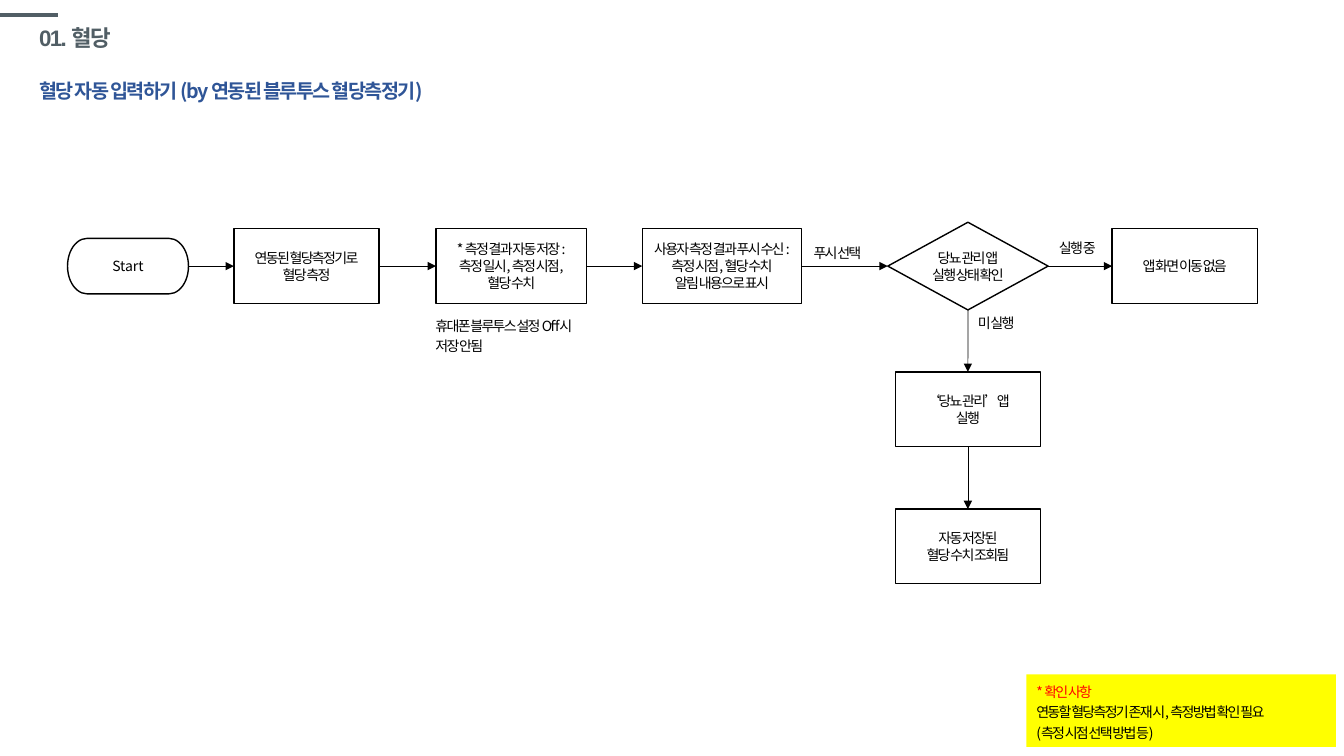
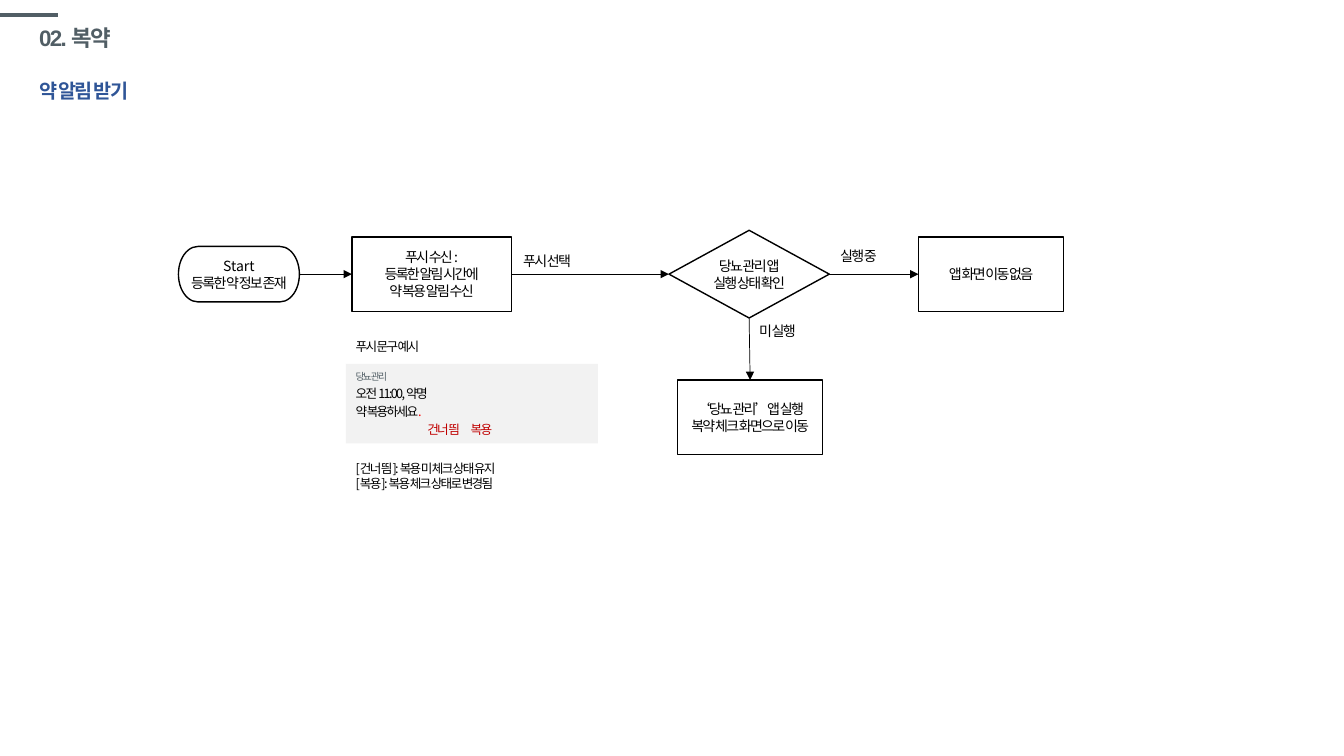
import pptx
import pptx.dml.color
import pptx.enum.shapes
import pptx.enum.text
import pptx.oxml
import pptx.oxml.ns
import pptx.util
from pptx.util import Inches

SHAPE = pptx.enum.shapes.MSO_SHAPE
ANCHOR = pptx.enum.text.MSO_ANCHOR
ALIGN = pptx.enum.text.PP_ALIGN

INK, SLATE, BLUE, RED, DARK_RED = "000000", "515E65", "2F5597", "FF0000", "C00000"
WHITE, YELLOW, GREY = "FFFFFF", "FFFF00", "F2F2F2"
KOREAN_FONT = "Noto Sans CJK KR"

BODY = {"size": 10, "color": INK, "name": KOREAN_FONT, "bold": False, "spacing": -120}
TITLE = BODY | {"size": 16, "color": SLATE, "name": "Arial", "bold": True}
SUBTITLE = BODY | {"size": 14, "color": BLUE, "bold": True}
SMALL = BODY | {"size": 9}

NODE_KINDS = {
    "start": (SHAPE.FLOWCHART_TERMINATOR, 0.55),
    "step": (SHAPE.FLOWCHART_PROCESS, 0.74),
    "choice": (SHAPE.FLOWCHART_DECISION, 0.87),
}
TOP, BOTTOM, LEFT, RIGHT = 0, 2, 1, 3
DIRECTIONS = {"right": (RIGHT, LEFT), "down": (BOTTOM, TOP)}
LABELS = {
    "푸시 선택": (0.02, -0.30, 0.82),
    "실행 중": (0.01, -0.35, 0.63),
    "미 실행": (0, -0.04, 0.73),
}

START = [("Start", {"spacing": 0})]
CHECK_LINES = ["당뇨 관리 앱", "실행 상태 확인"]

PAGES = [
    {
        "title": "01. 혈당",
        "subtitle": "혈당 자동 입력하기 (by 연동된 블루투스 혈당측정기)",
        "nodes": {
            "start": ("start", 1.27, 2.64, 1.2, [START]),
            "measure": ("step", 3.04, 2.64, 1.44, ["연동된 혈당측정기로", "혈당 측정"]),
            "save": ("step", 5.07, 2.64, 1.49,
                     ["* 측정 결과 자동 저장 :", "측정 일시, 측정 시점,", "혈당 수치"]),
            "push": ("step", 7.16, 2.64, 1.58,
                     ["사용자 측정 결과 푸시 수신 :", "측정 시점, 혈당 수치", "알림 내용으로 표시"]),
            "check": ("choice", 9.6, 2.64, 1.59, CHECK_LINES),
            "stay": ("step", 11.75, 2.64, 1.44, ["앱 화면 이동 없음"]),
            "launch": ("step", 9.6, 4.06, 1.44, ["‘당뇨 관리’앱", "실행"]),
            "view": ("step", 9.6, 5.42, 1.44, ["자동 저장된", "혈당 수치 조회됨"]),
        },
        "arrows": [
            ("start", "measure", "right", None),
            ("measure", "save", "right", None),
            ("save", "push", "right", None),
            ("push", "check", "right", "푸시 선택"),
            ("check", "stay", "right", "실행 중"),
            ("check", "launch", "down", "미 실행"),
            ("launch", "view", "down", None),
        ],
        "notes": [
            {"at": (4.22, 3.07, 1.81, 0.5), "style": BODY, "spacing": 1.2,
             "lines": ["휴대폰 블루투스 설정 Off 시", "저장 안됨"]},
            {"at": (10.18, 6.69, 3.07, 0.72), "style": BODY, "spacing": 1.2,
             "fill": YELLOW, "anchor": ANCHOR.MIDDLE,
             "lines": [[("* 확인 사항", {"color": RED})],
                       "연동할 혈당측정기 존재 시, 측정방법 확인 필요",
                       "(측정 시점 선택 방법 등)"]},
        ],
    },
    {
        "title": "02. 복약",
        "subtitle": "약 알림 받기",
        "nodes": {
            "start": ("start", 2.37, 2.72, 1.2, [START, "등록한 약 정보 존재"]),
            "push": ("step", 4.28, 2.72, 1.58,
                     ["푸시 수신 :", "등록한 알림 시간에", "약 복용 알림 수신"]),
            "check": ("choice", 7.43, 2.72, 1.59, CHECK_LINES),
            "stay": ("step", 9.83, 2.72, 1.44, ["앱 화면 이동 없음"]),
            "launch": ("step", 7.44, 4.14, 1.44,
                       ["‘당뇨 관리’앱 실행", "복약 체크 화면으로 이동"]),
        },
        "arrows": [
            ("start", "push", "right", None),
            ("push", "check", "right", "푸시 선택"),
            ("check", "stay", "right", "실행 중"),
            ("check", "launch", "down", "미 실행"),
        ],
        "notes": [
            {"at": (3.43, 3.31, 0.96, 0.25), "style": SMALL, "lines": ["푸시 문구 예시"]},
            {"at": (3.43, 3.61, 2.5, 0.79), "style": SMALL, "spacing": 1.2,
             "fill": GREY, "tabs": (0.71, 1.14),
             "lines": [[("당뇨 관리", {"size": 7, "color": SLATE})],
                       "오전 11:00, 약명",
                       [("약 복용하세요", {}), (".", {"color": RED})],
                       [("\t건너 띔\t복용", {"color": DARK_RED})]]},
            {"at": (3.43, 4.52, 2.34, 0.4), "style": SMALL,
             "lines": ["[건너 띔]: 복용 미 체크 상태 유지", "[복용]: 복용 체크 상태로 변경됨"]},
        ],
    },
]


def rgb(value):
    return pptx.dml.color.RGBColor.from_string(value)


def add_xml(parent, tag, **attributes):
    child = pptx.oxml.ns.qn(tag)
    element = parent.makeelement(child, attributes)
    parent.append(element)
    return element


def format_span(span, style):
    values = {"size": pptx.util.Pt(style["size"]), "bold": style["bold"], "name": style["name"]}
    for name, value in values.items():
        setattr(span.font, name, value)
    span.font.color.rgb = rgb(style["color"])
    properties = span._r.get_or_add_rPr()
    properties.set("spc", str(style["spacing"]))
    add_xml(properties, "a:ea", typeface=KOREAN_FONT)


def write(shape, lines, style, anchor=ANCHOR.TOP, align=ALIGN.LEFT, spacing=1.0, wrap=True, tabs=()):
    frame = shape.text_frame
    for name, value in {"word_wrap": wrap, "vertical_anchor": anchor}.items():
        setattr(frame, name, value)
    for index, line in enumerate(lines):
        para = frame.add_paragraph() if index else frame.paragraphs[0]
        for name, value in {"alignment": align, "line_spacing": spacing}.items():
            setattr(para, name, value)
        if tabs:
            stops = add_xml(para._p.get_or_add_pPr(), "a:tabLst")
            for stop in tabs:
                add_xml(stops, "a:tab", pos=str(Inches(stop)), algn="l")
        for text, changes in [(line, {})] if isinstance(line, str) else line:
            span = para.add_run()
            span.text = text
            format_span(span, style | changes)


def add_text(page, at, lines, style, **layout):
    box = page.shapes.add_textbox(*map(Inches, at))
    write(box, lines, style, **layout)


def add_filled(page, kind, at, fill):
    shape = page.shapes.add_shape(kind, *map(Inches, at))
    shape.shadow.inherit = False
    shape.fill.solid()
    shape.fill.fore_color.rgb = rgb(fill)
    return shape


def add_line(page, start, end, color, width):
    line = page.shapes.add_connector(
        pptx.enum.shapes.MSO_CONNECTOR.STRAIGHT, *map(Inches, start + end))
    line.line.color.rgb = rgb(color)
    line.line.width = pptx.util.Pt(width)
    add_xml(line.element.spPr, "a:effectLst")
    return line


def add_node(page, kind, center_x, center_y, width, lines):
    preset, height = NODE_KINDS[kind]
    at = (center_x - width / 2, center_y - height / 2, width, height)
    node = add_filled(page, preset, at, WHITE)
    node.line.color.rgb = rgb(INK)
    node.line.width = pptx.util.Pt(1)
    write(node, lines, BODY, ANCHOR.MIDDLE, ALIGN.CENTER, wrap=False)
    return node


def add_arrow(page, source, target, direction, label):
    source_side, target_side = DIRECTIONS[direction]
    arrow = add_line(page, (0, 0), (0, 0), INK, 0.5)
    arrow.begin_connect(source, source_side)
    arrow.end_connect(target, target_side)
    add_xml(arrow.line._get_or_add_ln(), "a:tailEnd", type="triangle")
    if label:
        offset_x, offset_y, width = LABELS[label]
        at = (arrow.begin_x.inches + offset_x, arrow.begin_y.inches + offset_y, width, 0.3)
        add_text(page, at, [label], BODY, spacing=1.2)


def add_note(page, at, lines, style, fill=None, **layout):
    if fill:
        panel = add_filled(page, SHAPE.RECTANGLE, at, fill)
        panel.line.fill.background()
        write(panel, lines, style, **layout)
    else:
        add_text(page, at, lines, style, **layout)


def add_heading(page, title, subtitle):
    add_line(page, (0, 0.15), (0.58, 0.15), SLATE, 3)
    add_text(page, (0.29, 0.19, 11.5, 0.39), [title], TITLE, anchor=ANCHOR.MIDDLE, spacing=0.9)
    add_text(page, (0.29, 0.62, 4.64, 0.41), [subtitle], SUBTITLE, spacing=1.5)


def main():
    deck = pptx.Presentation()
    deck.slide_width, deck.slide_height = Inches(13.33), Inches(7.5)
    for content in PAGES:
        page = deck.slides.add_slide(deck.slide_layouts[6])
        add_heading(page, content["title"], content["subtitle"])
        nodes = {name: add_node(page, *node) for name, node in content["nodes"].items()}
        for source, target, direction, label in content["arrows"]:
            add_arrow(page, nodes[source], nodes[target], direction, label)
        for note in content["notes"]:
            add_note(page, **note)
    deck.save("out.pptx")


if __name__ == "__main__":
    main()
